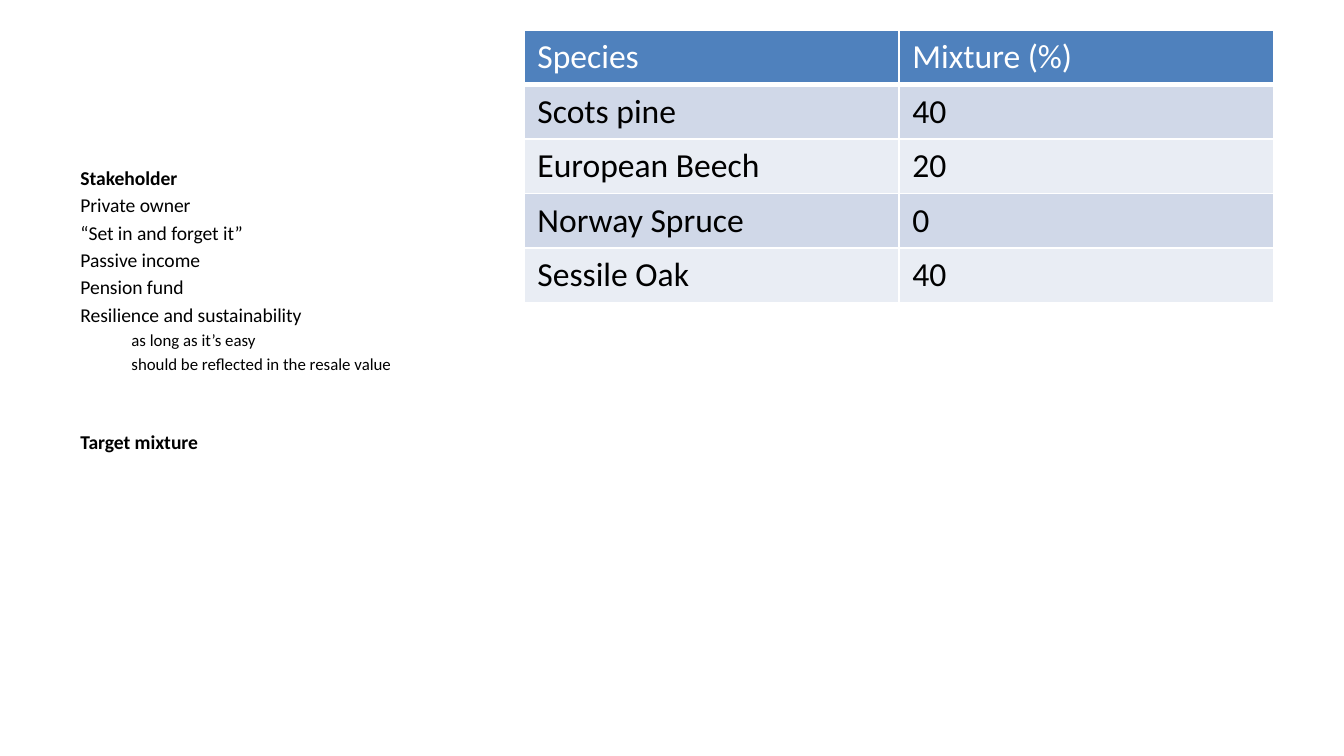
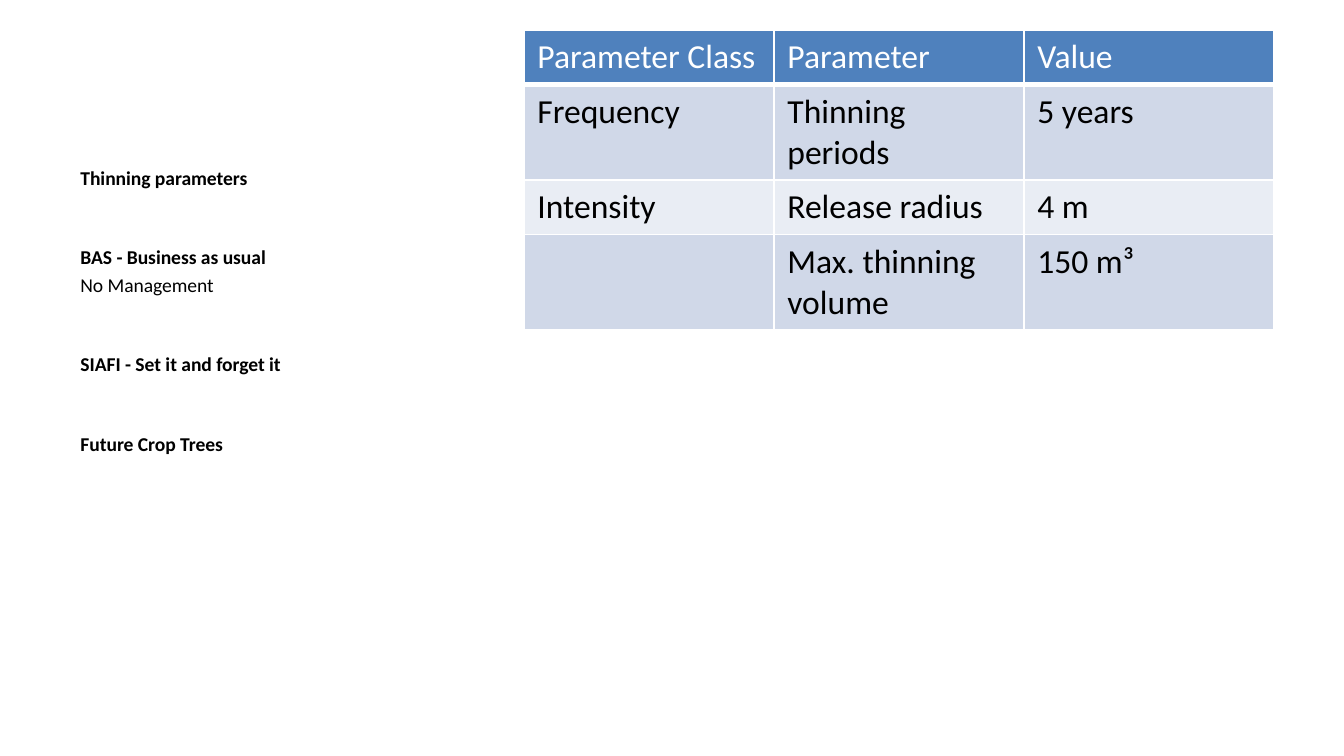
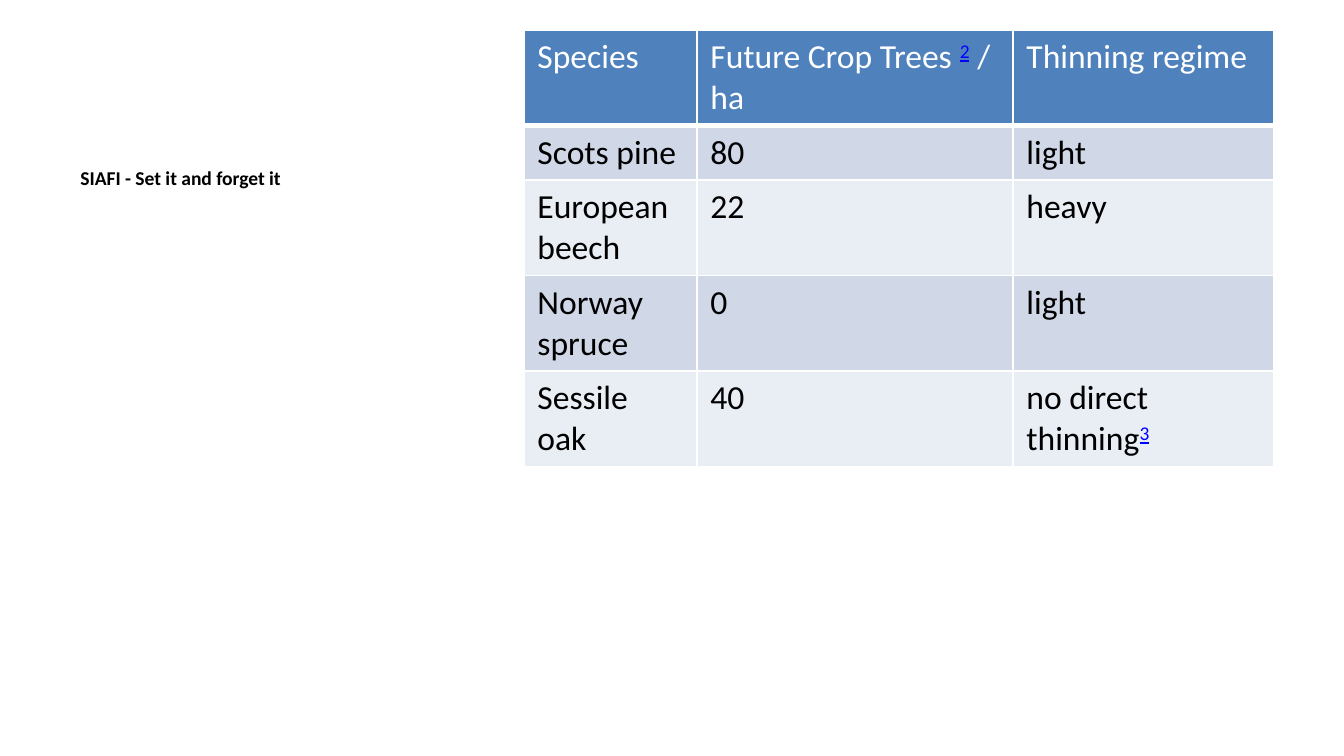
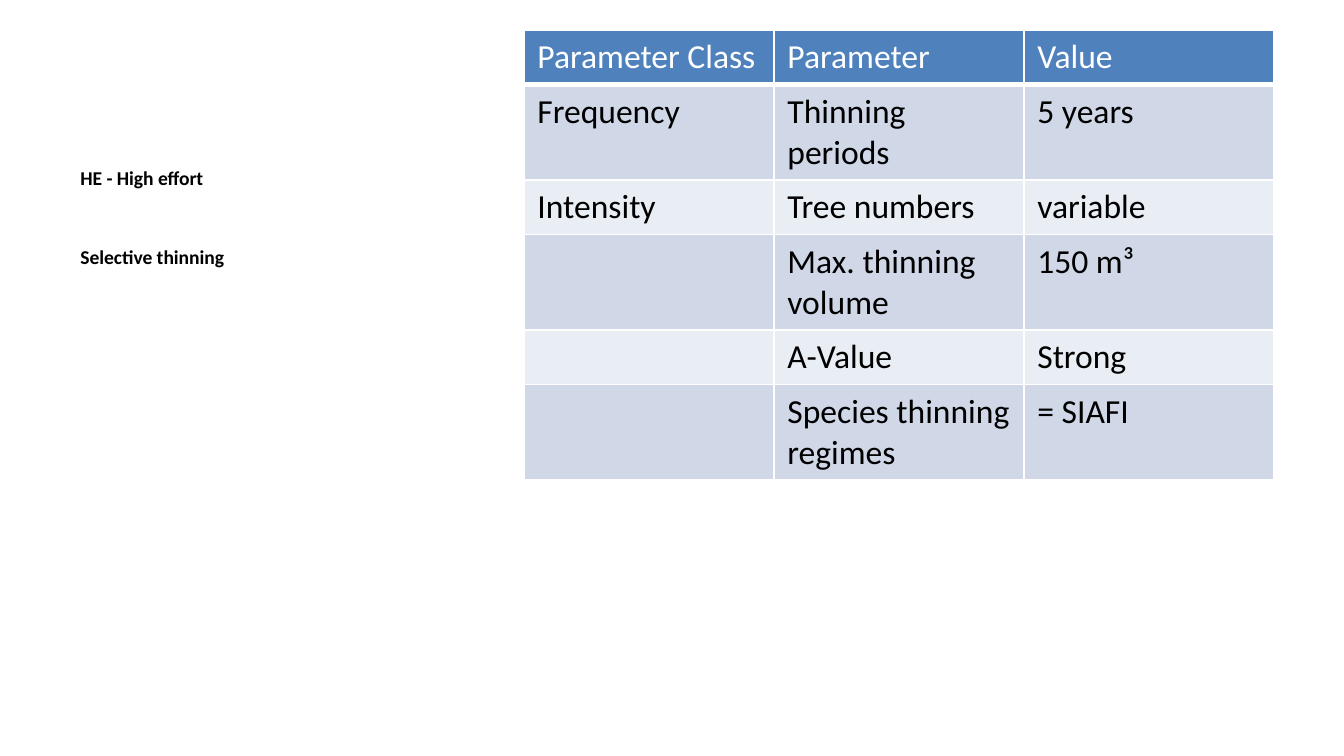
from pptx import Presentation
from pptx.dml.color import RGBColor
from pptx.enum.text import MSO_ANCHOR, MSO_AUTO_SIZE
from pptx.oxml import parse_xml
from pptx.oxml.ns import nsdecls
from pptx.util import Emu, Pt

COLORS = {"text": "000000", "white": "FFFFFF", "header": "4F81BD",
          "odd": "D0D8E8", "even": "E9EDF4", "note": "0000FF"}
FONT = "Calibri"
HEADING, ITEM, SUBITEM = "heading", "item", "subitem"


def px(length):
    return Emu(round(length * 914400 / 134.4))


def add_run(paragraph, text, size, color, bold=False):
    run = paragraph.add_run()
    run.text = text
    run.font.name = FONT
    run.font.size = Pt(size)
    run.font.bold = bold
    run.font.color.rgb = RGBColor.from_string(COLORS[color])
    return run


parameter_header = ["Parameter Class", "Parameter", "Value"]
frequency = ["Frequency", "Thinning periods", "5 years"]
max_volume = ["", "Max. thinning volume", "150 m³"]

pages = [
    ([(HEADING, "Stakeholder"),
      (ITEM, "Private owner"),
      (ITEM, "“Set in and forget it”"),
      (ITEM, "Passive income"),
      (ITEM, "Pension fund"),
      (ITEM, "Resilience and sustainability"),
      (SUBITEM, "as long as it’s easy"),
      (SUBITEM, "should be reflected in the resale value"),
      (HEADING, "Target mixture")],
     [375, 375],
     [["Species", "Mixture (%)"],
      ["Scots pine", "40"],
      ["European Beech", "20"],
      ["Norway Spruce", "0"],
      ["Sessile Oak", "40"]]),
    ([(HEADING, "Thinning parameters"),
      (HEADING, "BAS - Business as usual"),
      (ITEM, "No Management"),
      (HEADING, "SIAFI - Set it and forget it"),
      (HEADING, "Future Crop Trees")],
     [250, 250, 250],
     [parameter_header,
      frequency,
      ["Intensity", "Release radius", "4 m"],
      max_volume]),
    ([(HEADING, "SIAFI - Set it and forget it")],
     [173, 316, 261],
     [["Species", "Future Crop Trees ^2^ / ha", "Thinning regime"],
      ["Scots pine", "80", "light"],
      ["European beech", "22", "heavy"],
      ["Norway spruce", "0", "light"],
      ["Sessile oak", "40", "no direct thinning^3^"]]),
    ([(HEADING, "HE - High effort"),
      (HEADING, "Selective thinning")],
     [250, 250, 250],
     [parameter_header,
      frequency,
      ["Intensity", "Tree numbers", "variable"],
      max_volume,
      ["", "A-Value", "Strong"],
      ["", "Species thinning regimes", "= SIAFI"]]),
]

prs = Presentation()
prs.slide_width, prs.slide_height = px(1344), px(756)
caption_layout = prs.slide_layouts.get_by_name("Content with Caption")

for outline, column_widths, rows in pages:
    slide = prs.slides.add_slide(caption_layout)
    title, content, body = slide.placeholders
    for unused in (title, content):
        unused.element.getparent().remove(unused.element)

    body.left, body.top, body.width, body.height = px(67), px(159), px(442), px(517)
    frame = body.text_frame
    frame.word_wrap = True
    frame.auto_size = MSO_AUTO_SIZE.NONE
    frame.vertical_anchor = MSO_ANCHOR.TOP
    for index, (role, text) in enumerate(outline):
        paragraph = frame.add_paragraph() if index else frame.paragraphs[0]
        if role == HEADING:
            paragraph.space_before = Pt(30)
        if role == SUBITEM:
            paragraph.level = 1
        properties = paragraph._p.get_or_add_pPr()
        properties.set("marL", str(px(51) if role == SUBITEM else 0))
        properties.set("indent", "0")
        properties.append(parse_xml(f"<a:buNone {nsdecls('a')}/>"))
        add_run(paragraph, text, 9 if role == SUBITEM else 10.5, "text", role == HEADING)

    table_frame = slide.shapes.add_table(
        len(rows), len(column_widths), px(524), px(30), px(750), px(644))
    table = table_frame.table
    for column, width in zip(table.columns, column_widths):
        column.width = px(width)
    for row in table.rows:
        row.height = 0
    table_frame.height = px(644)

    for row_index, row_texts in enumerate(rows):
        is_header = row_index == 0
        fill = "header" if is_header else "odd" if row_index % 2 else "even"
        for column_index, text in enumerate(row_texts):
            cell = table.cell(row_index, column_index)
            cell_properties = cell._tc.get_or_add_tcPr()
            for side in "LRTB":
                line_width = Pt(3 if is_header and side == "B" else 1)
                cell_properties.append(parse_xml(
                    f'<a:ln{side} {nsdecls("a")} w="{line_width}"><a:solidFill>'
                    f'<a:srgbClr val="{COLORS["white"]}"/></a:solidFill></a:ln{side}>'))
            cell.fill.solid()
            cell.fill.fore_color.rgb = RGBColor.from_string(COLORS[fill])
            for part_index, part in enumerate(text.split("^")):
                if not part:
                    continue
                is_note = part_index % 2 == 1
                color = "note" if is_note else "white" if is_header else "text"
                run = add_run(cell.text_frame.paragraphs[0], part, 18, color)
                if is_note:
                    run.font.underline = True
                    run._r.get_or_add_rPr().set("baseline", "30000")

prs.save("out.pptx")
